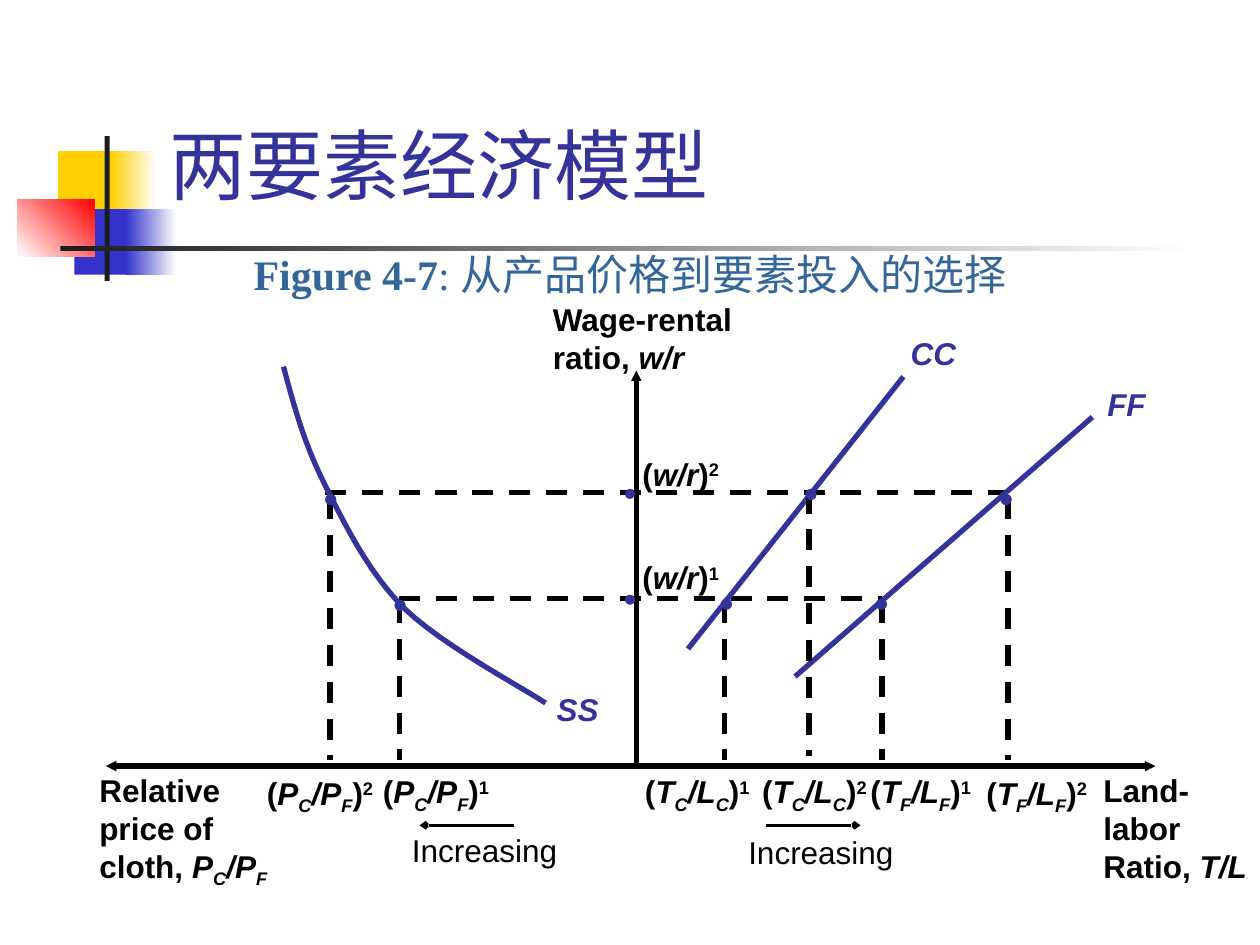
from dataclasses import dataclass
from itertools import groupby

from lxml import etree
from pptx import Presentation
from pptx import util as u
from pptx.dml.color import RGBColor
from pptx.enum import dml, shapes, text
from pptx.oxml.ns import qn

HUES = {
    "gold": "FFCF01", "blue": "3333CC", "red": "FF0000", "white": "FFFFFF",
    "dark": "1C1C1C", "black": "000000", "navy": "333399", "steel": "336699",
}
BASES = {"sub": "-25000", "sup": "30000"}
MARKS = {"_": "sub", "^": "sup"}


@dataclass
class Block:
    x: float
    y: float
    w: float
    h: float
    hue: str
    fade: str = ""
    angle: int = 0


@dataclass
class Label:
    x: float
    y: float
    w: float
    h: float
    words: str
    hue: str = "black"
    bold: bool = True


@dataclass
class Drop:
    """A dashed fall to the axis, with its dot."""
    x: float
    top: float
    end: float
    dot: tuple[float, float]


@dataclass
class Line:
    x1: float
    y1: float
    x2: float
    y2: float
    hue: str = "black"
    wide: float = 3
    dash: bool = False
    head: str = ""
    tail: str = ""


BLOCKS = [
    Block(0.46, 1.2, 0.48, 0.52, "gold"),
    Block(0.88, 1.2, 0.36, 0.52, "gold", "white"),
    Block(0.59, 1.66, 0.46, 0.52, "blue"),
    Block(1, 1.66, 0.4, 0.52, "blue", "white"),
    Block(0.14, 1.58, 0.61, 0.46, "white", "red", 45),
    Block(0.83, 1.08, 0.04, 1.15, "dark"),
    Block(0.48, 1.95, 9, 0.04, "dark", "white"),
]
LINES = [
    Line(2.58, 3.91, 8, 3.91, dash=True),
    Line(3.17, 4.75, 7, 4.75, dash=True),
    Line(6.31, 5.37, 8.67, 3.31, "navy"),
    Line(5.46, 5.15, 7.17, 2.99, "navy"),
    Line(0.84, 6.08, 9.17, 6.08, head="triangle", tail="triangle"),
    Line(5.05, 2.94, 5.05, 6.08, head="triangle"),
    Line(4.08, 6.55, 3.33, 6.55, wide=2, tail="arrow"),
    Line(6.08, 6.55, 6.83, 6.55, wide=2, tail="arrow"),
]
CURVE = [
    [(2.25, 2.91), (2.33, 3.21), (2.41, 3.51), (2.57, 3.83)],
    [(2.57, 3.83), (2.73, 4.15), (2.92, 4.54), (3.21, 4.83)],
    [(3.21, 4.83), (3.51, 5.12), (4.15, 5.46), (4.33, 5.58)],
]
DROPS = [
    Drop(3.17, 4.78, 6.03, (3.13, 4.76)),
    Drop(6.42, 3.91, 6, (6.39, 3.88)),
    Drop(5.75, 4.78, 6.03, (5.72, 4.75)),
    Drop(8, 3.95, 6.03, (7.94, 3.92)),
    Drop(7, 4.78, 6.03, (6.95, 4.75)),
    Drop(2.62, 3.95, 6.03, (2.58, 3.92)),
]
RATIOS = [(4.96, 3.88), (4.96, 4.72)]
LABELS = [
    Label(8.69, 3.01, 0.6, 0.4, "*FF*", "navy"),
    Label(7.13, 2.6, 0.6, 0.4, "*CC*", "navy"),
    Label(4.32, 5.43, 0.6, 0.4, "*SS*", "navy"),
    Label(8.66, 6.07, 1.34, 1, "Land-\nlabor\nRatio, *T/L*"),
    Label(0.69, 6.07, 1.53, 1.04, "Relative\nprice of\ncloth, *P_C/P_F*"),
    Label(4.29, 2.33, 1.63, 0.7, "Wage-rental\nratio, *w/r*"),
    Label(2.02, 6.09, 1.04, 0.44, "(*P_C/P_F*)^2"),
    Label(2.94, 6.08, 1.04, 0.44, "(*P_C/P_F*)^1"),
    Label(5.02, 6.08, 1.03, 0.44, "(*T_C/L_C*)^1"),
    Label(5.95, 6.08, 1.03, 0.44, "(*T_C/L_C*)^2"),
    Label(6.81, 6.08, 1, 0.44, "(*T_F/L_F*)^1"),
    Label(7.73, 6.09, 1, 0.44, "(*T_F/L_F*)^2"),
    Label(5, 3.56, 0.81, 0.4, "(*w/r*)^2"),
    Label(5, 4.38, 0.81, 0.4, "(*w/r*)^1"),
    Label(3.17, 6.55, 1.35, 0.4, "Increasing", bold=False),
    Label(5.84, 6.56, 1.35, 0.4, "Increasing", bold=False),
]


def tint(name: str) -> RGBColor:
    return RGBColor.from_string(HUES[name])


def place(*sizes: float) -> list[u.Length]:
    return [u.Inches(size) for size in sizes]


def split(words: str) -> list[tuple[str, bool, str]]:
    """Read * as italic on or off, _ as subscript and ^ as superscript."""
    marks, slant, base = [], False, ""
    for char in words:
        if char == "*":
            slant = not slant
        elif char in MARKS:
            base = MARKS[char]
        else:
            marks.append((char, slant, base))
            base = ""
    return [("".join(m[0] for m in group), *key)
            for key, group in groupby(marks, lambda m: m[1:])]


def write(slide, words: str, box: tuple, *, size: int = 18, face: str = "Arial",
          hue: str = "black", bold: bool = False, lead: str = "", wrap: bool = False,
          anchor=text.MSO_ANCHOR.TOP, align=text.PP_ALIGN.LEFT) -> None:
    frame = slide.shapes.add_textbox(*place(*box)).text_frame
    frame.word_wrap, frame.vertical_anchor = wrap, anchor
    if not wrap:
        frame.auto_size = text.MSO_AUTO_SIZE.NONE
    for i, row in enumerate(words.split("\n")):
        para = frame.paragraphs[0] if i == 0 else frame.add_paragraph()
        para.alignment = align
        parts = [(lead, False, "")] if lead else []
        for part, slant, base in parts + split(row):
            run = para.add_run()
            run.text = part
            font = run.font
            font.size, font.name = u.Pt(size), face
            font.bold, font.italic = bold or part == lead, slant
            font.color.rgb = tint(hue)
            if base:
                run._r.get_or_add_rPr().set("baseline", BASES[base])


def block(slide, item: Block, kind=shapes.MSO_SHAPE.RECTANGLE) -> None:
    form = slide.shapes.add_shape(kind, *place(item.x, item.y, item.w, item.h))
    form.shadow.inherit = False
    form.line.fill.background()
    if item.fade:
        form.fill.gradient()
        form.fill.gradient_angle = item.angle
        for stop, hue, spot in zip(form.fill.gradient_stops, (item.hue, item.fade), (0, 1)):
            stop.color.rgb, stop.position = tint(hue), spot
    else:
        form.fill.solid()
        form.fill.fore_color.rgb = tint(item.hue)


def dot(slide, x: float, y: float, edge: bool) -> None:
    size = 0.09 if edge else 0.08
    block(slide, Block(x, y, size, size, "navy"), shapes.MSO_SHAPE.OVAL)


def line(slide, item: Line) -> None:
    ends = place(item.x1, item.y1, item.x2, item.y2)
    form = slide.shapes.add_connector(shapes.MSO_CONNECTOR.STRAIGHT, *ends)
    form.line.width, form.line.color.rgb = u.Pt(item.wide), tint(item.hue)
    if item.dash:
        form.line.dash_style = dml.MSO_LINE.DASH
    for tag, kind in (("a:headEnd", item.head), ("a:tailEnd", item.tail)):
        if kind:
            etree.SubElement(form.line._get_or_add_ln(), qn(tag), type=kind, w="sm", len="sm")
    etree.SubElement(form._element.spPr, qn("a:effectLst"))


def curve(slide, arcs: list, steps: int = 12) -> None:
    dots = []
    for arc in arcs:
        for t in (i / steps for i in range(1, steps + 1)):
            rates = ((1 - t) ** 3, 3 * t * (1 - t) ** 2, 3 * t * t * (1 - t), t ** 3)
            dots.append(place(*(sum(r * p[k] for r, p in zip(rates, arc)) for k in (0, 1))))
    pen = slide.shapes.build_freeform(*place(*arcs[0][0]))
    pen.add_line_segments(dots, close=False)
    form = pen.convert_to_shape()
    form.shadow.inherit = False
    form.fill.background()
    form.line.width, form.line.color.rgb = u.Pt(3), tint("navy")


def main() -> None:
    deck = Presentation()
    deck.slide_width, deck.slide_height = place(10, 7.5)
    slide = deck.slides.add_slide(deck.slide_layouts[6])
    for item in BLOCKS:
        block(slide, item)
    for item in LINES:
        line(slide, item)
    curve(slide, CURVE)
    for item in DROPS:
        line(slide, Line(item.x, item.top, item.x, item.end, dash=True))
        dot(slide, *item.dot, edge=True)
    for spot in RATIOS:
        dot(slide, *spot, edge=False)
    for item in LABELS:
        write(slide, item.words, (item.x, item.y, item.w, item.h), hue=item.hue, bold=item.bold)
    write(slide, "两要素经济模型", (1.25, 0.5, 8.52, 1.6), size=44, face="Roboto",
          hue="navy", wrap=True, anchor=text.MSO_ANCHOR.MIDDLE)
    write(slide, ": 从产品价格到要素投入的选择", (0, 1.17, 10, 1.25), size=24,
          face="Times New Roman", hue="steel", lead="Figure 4-7", wrap=True,
          anchor=text.MSO_ANCHOR.BOTTOM, align=text.PP_ALIGN.CENTER)
    deck.save("out.pptx")


if __name__ == "__main__":
    main()
